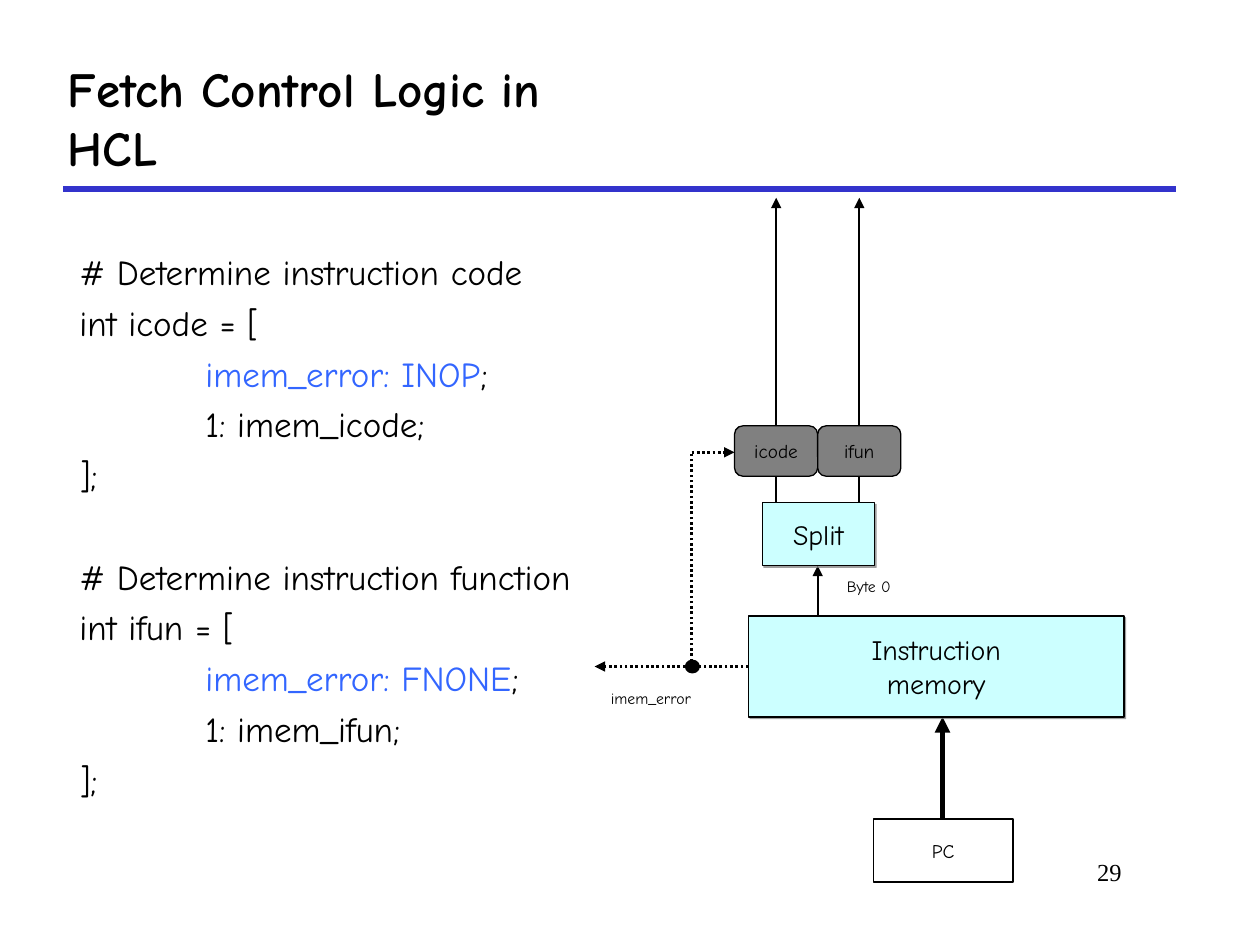
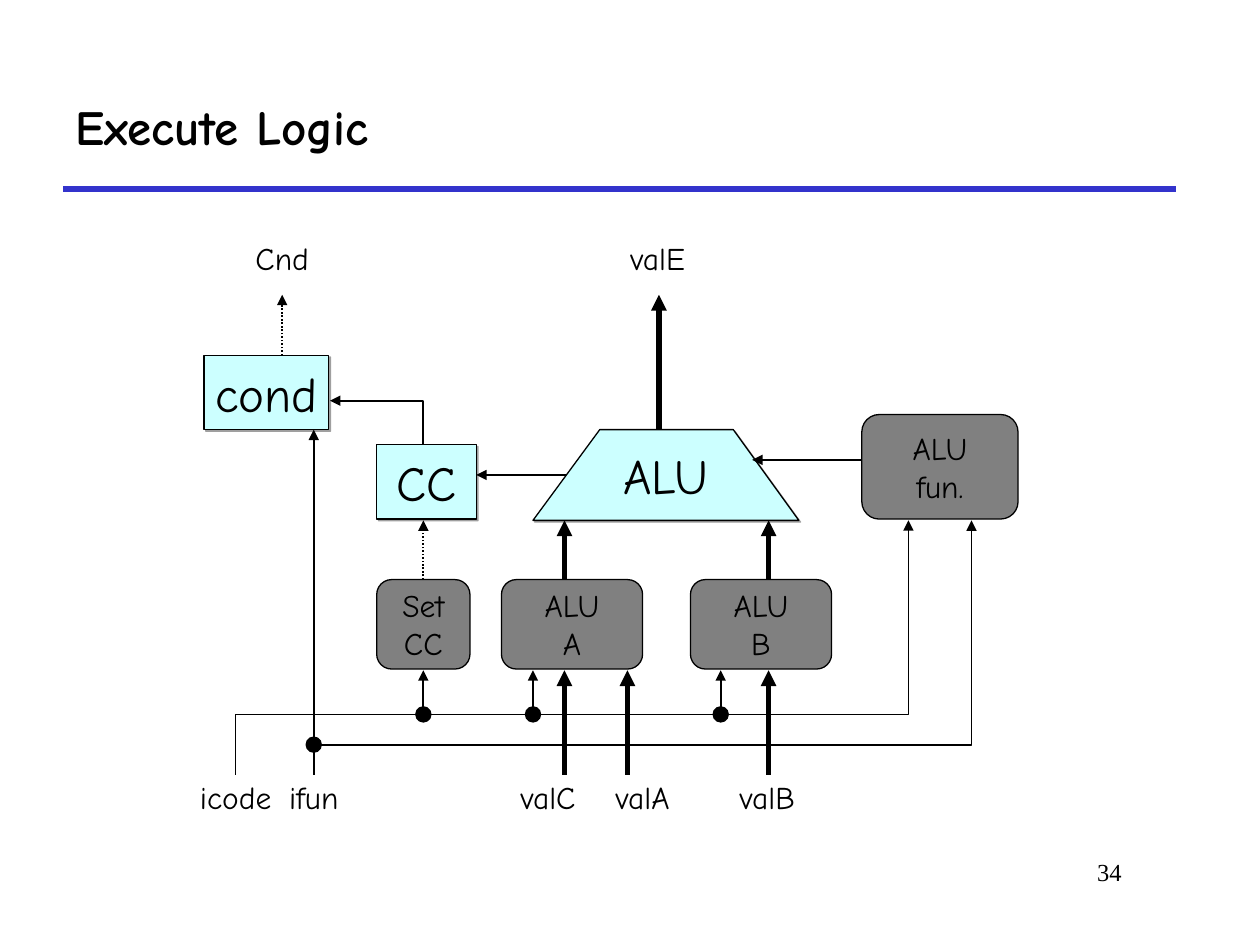
import dataclasses

import lxml.etree
import pptx
import pptx.dml.color
import pptx.enum.dml
import pptx.enum.shapes
import pptx.enum.text
import pptx.oxml.ns
import pptx.util

Inches = pptx.util.Inches
Pt = pptx.util.Pt
RGB = pptx.dml.color.RGBColor.from_string
qn = pptx.oxml.ns.qn
Preset = pptx.enum.shapes.MSO_SHAPE
Align = pptx.enum.text.PP_ALIGN
Anchor = pptx.enum.text.MSO_ANCHOR


@dataclasses.dataclass(frozen=True)
class Theme:
    font: str = "Comic Neue"
    number_font: str = "Times New Roman"
    ink: str = "000000"
    rule: str = "3333CC"
    highlight: str = "3366FF"
    unit: str = "CCFFFF"
    control: str = "808080"
    register: str = "FFFFFF"
    shadow: str = "808080"
    title_size: int = 28
    code_size: int = 20
    large_size: int = 28
    label_size: int = 18
    unit_size: int = 16
    number_size: int = 14
    small_size: int = 11
    tiny_size: int = 9
    hair: float = 0.75
    thin: float = 1
    dotted: float = 1.5
    thick: float = 3


theme = Theme()


def finish_shape(shape, text="", size=theme.label_size, fill=None):
    """Style a block; no fill makes it a bare label, the unit colour adds a shadow."""
    shape.shadow.inherit = False
    if fill is None:
        shape.fill.background()
        shape.line.fill.background()
    else:
        shape.fill.solid()
        shape.fill.fore_color.rgb = RGB(fill)
        shape.line.color.rgb = RGB(theme.ink)
        shape.line.width = Pt(theme.hair)
    if fill == theme.unit:
        effects = shape.element.spPr.find(qn("a:effectLst"))
        shadow = lxml.etree.SubElement(effects, qn("a:outerShdw"), blurRad="0",
                                       dist=str(Pt(1.4)), dir="2700000", algn="ctr", rotWithShape="0")
        color = lxml.etree.SubElement(shadow, qn("a:srgbClr"), val=theme.shadow)
        lxml.etree.SubElement(color, qn("a:alpha"), val="75000")
    frame = shape.text_frame
    frame.word_wrap = False
    frame.vertical_anchor = Anchor.MIDDLE
    frame.margin_left = frame.margin_right = frame.margin_top = frame.margin_bottom = 0
    for index, line in enumerate(text.split("\n") if text else []):
        paragraph = frame.add_paragraph() if index else frame.paragraphs[0]
        paragraph.alignment = Align.CENTER
        run = paragraph.add_run()
        run.text = line
        run.font.name = theme.font
        run.font.size = Pt(size)
        run.font.color.rgb = RGB(theme.ink)


def add_wire(slide, points, width=theme.thin, arrow=True, dotted=False, color=theme.ink):
    """Draw a straight connector for two points, an open bent outline for more."""
    corners = [(Inches(x), Inches(y)) for x, y in points]
    if len(corners) == 2:
        wire = slide.shapes.add_connector(pptx.enum.shapes.MSO_CONNECTOR.STRAIGHT, *corners[0], *corners[1])
    else:
        builder = slide.shapes.build_freeform(*corners[0])
        builder.add_line_segments(corners[1:], close=False)
        wire = builder.convert_to_shape()
        wire.fill.background()
    wire.line.color.rgb = RGB(color)
    wire.line.width = Pt(width)
    if dotted:
        wire.line.dash_style = pptx.enum.dml.MSO_LINE.ROUND_DOT
    properties = wire.element.spPr
    if arrow:
        lxml.etree.SubElement(properties.find(qn("a:ln")), qn("a:tailEnd"), type="triangle")
    lxml.etree.SubElement(properties, qn("a:effectLst"))


presentation = pptx.Presentation()
presentation.slide_width = Inches(10)
presentation.slide_height = Inches(7.5)

# Shared frame: title, rule and slide number
slides = []
for title, title_box, number in [
    ("Fetch Control Logic in HCL", (0.44, 0.27, 4.56, 1.32), "29"),
    ("Execute Logic", (0.5, 0.5, 8.83, 1), "34"),
]:
    slide = presentation.slides.add_slide(presentation.slide_layouts[6])
    slides.append(slide)
    add_wire(slide, [(0.5, 1.5), (9.33, 1.5)], theme.thick, arrow=False, color=theme.rule)
    for text, box, font, size, bold, alignment, anchor in [
        (title, title_box, theme.font, theme.title_size, True, Align.LEFT, Anchor.MIDDLE),
        (number, (7.58, 6.75, 1.42, 0.5), theme.number_font, theme.number_size, False, Align.RIGHT, Anchor.TOP),
    ]:
        frame = slide.shapes.add_textbox(*map(Inches, box)).text_frame
        frame.word_wrap = True
        frame.vertical_anchor = anchor
        paragraph = frame.paragraphs[0]
        paragraph.alignment = alignment
        run = paragraph.add_run()
        run.text = text
        run.font.name = font
        run.font.size = Pt(size)
        run.font.bold = bold
        run.font.color.rgb = RGB(theme.ink)

fetch_slide, execute_slide = slides

# Fetch: HCL code, each line with its space before and its coloured runs
code_lines = []
for signal, purpose, default, space_before in [
    ("icode", "code", "INOP", 0),
    ("ifun", "function", "FNONE", 34),
]:
    code_lines += [
        (space_before, [(f"# Determine instruction {purpose}", theme.ink)]),
        (5, [(f"int {signal} = [", theme.ink)]),
        (5, [("\t", theme.ink), (f"imem_error: {default}", theme.highlight), (";", theme.ink)]),
        (5, [(f"\t1: imem_{signal};", theme.ink)]),
        (5, [("];", theme.ink)]),
    ]

frame = fetch_slide.shapes.add_textbox(Inches(0.58), Inches(1.94), Inches(8.76), Inches(4.46)).text_frame
frame.word_wrap = True
frame.margin_left = frame.margin_right = frame.margin_top = frame.margin_bottom = Inches(0.05)
for index, (space_before, runs) in enumerate(code_lines):
    paragraph = frame.add_paragraph() if index else frame.paragraphs[0]
    tabs = lxml.etree.SubElement(paragraph._p.get_or_add_pPr(), qn("a:tabLst"))
    lxml.etree.SubElement(tabs, qn("a:tab"), pos=str(Inches(1)), algn="l")
    paragraph.space_before = Pt(space_before)
    for text, color in runs:
        run = paragraph.add_run()
        run.text = text
        run.font.name = theme.font
        run.font.size = Pt(theme.code_size)
        run.font.color.rgb = RGB(color)

# Fetch: wires, then blocks
for points, width, arrow, dotted in [
    ([(7.48, 6.5), (7.48, 5.69)], theme.thick, True, False),
    ([(6.16, 3.99), (6.16, 1.57)], theme.thin, True, False),
    ([(6.82, 3.99), (6.82, 1.57)], theme.thin, True, False),
    ([(6.49, 4.89), (6.49, 4.49)], theme.thin, True, False),
    ([(5.94, 5.29), (4.72, 5.29)], theme.dotted, True, True),
    ([(5.49, 5.29), (5.49, 3.59)], theme.dotted, False, True),
    ([(5.49, 3.59), (5.83, 3.59)], theme.dotted, True, True),
]:
    add_wire(fetch_slide, points, width, arrow, dotted)

for preset, box, text, size, fill in [
    (Preset.RECTANGLE, (5.94, 4.89, 2.98, 0.8), "Instruction\nmemory", theme.unit_size, theme.unit),
    (Preset.RECTANGLE, (6.05, 3.99, 0.89, 0.5), "Split", theme.unit_size, theme.unit),
    (Preset.RECTANGLE, (6.93, 6.5, 1.11, 0.5), "PC", theme.small_size, theme.register),
    (Preset.ROUNDED_RECTANGLE, (5.83, 3.38, 0.66, 0.4), "icode", theme.small_size, theme.control),
    (Preset.ROUNDED_RECTANGLE, (6.49, 3.38, 0.66, 0.4), "ifun", theme.small_size, theme.control),
    (Preset.RECTANGLE, (6.62, 4.53, 0.55, 0.25), "Byte 0", theme.tiny_size, None),
    (Preset.RECTANGLE, (4.5, 5.29, 1.33, 0.5), "imem_error", theme.tiny_size, None),
    (Preset.OVAL, (5.44, 5.24, 0.11, 0.1), "", theme.tiny_size, theme.ink),
]:
    finish_shape(fetch_slide.shapes.add_shape(preset, *map(Inches, box)), text, size, fill)

# Execute: blocks
alu = execute_slide.shapes.build_freeform(Inches(4.23), Inches(4.13))
alu.add_line_segments([(Inches(x), Inches(y)) for x, y in [(4.76, 3.41), (5.82, 3.41), (6.34, 4.13)]])
finish_shape(alu.convert_to_shape(), "ALU", theme.large_size, theme.unit)

for preset, box, text, size, fill in [
    (Preset.RECTANGLE, (1.62, 2.82, 0.99, 0.59), "cond", theme.large_size, theme.unit),
    (Preset.RECTANGLE, (2.99, 3.53, 0.79, 0.59), "CC", theme.large_size, theme.unit),
    (Preset.ROUNDED_RECTANGLE, (2.99, 4.6, 0.74, 0.71), "Set\nCC", theme.label_size, theme.control),
    (Preset.ROUNDED_RECTANGLE, (3.98, 4.6, 1.12, 0.71), "ALU\nA", theme.label_size, theme.control),
    (Preset.ROUNDED_RECTANGLE, (5.48, 4.6, 1.12, 0.71), "ALU\nB", theme.label_size, theme.control),
    (Preset.ROUNDED_RECTANGLE, (6.84, 3.29, 1.24, 0.83), "ALU\nfun.", theme.label_size, theme.control),
]:
    finish_shape(execute_slide.shapes.add_shape(preset, *map(Inches, box)), text, size, fill)

# Execute: signal names, outputs above and inputs below
for top, names in [
    (1.75, [("Cnd", 1.87), ("valE", 4.85)]),
    (6.03, [("icode", 1.5), ("ifun", 2.12), ("valC", 3.98), ("valA", 4.73), ("valB", 5.72)]),
]:
    for name, left in names:
        box = map(Inches, (left, top, 0.74, 0.59))
        finish_shape(execute_slide.shapes.add_shape(Preset.RECTANGLE, *box), name)

# Execute: value buses, control wires and condition signals
input_y, block_bottom, block_top, alu_bottom = 6.15, 5.32, 4.6, 4.13
icode_y, ifun_y = 5.67, 5.91

add_wire(execute_slide, [(5.23, 3.41), (5.23, 2.34)], theme.thick)
for x in (4.48, 4.98, 6.1):
    add_wire(execute_slide, [(x, input_y), (x, block_bottom)], theme.thick)
for x in (4.48, 6.1):
    add_wire(execute_slide, [(x, block_top), (x, alu_bottom)], theme.thick)

add_wire(execute_slide, [(4.49, 3.77), (3.78, 3.77)], theme.hair)
add_wire(execute_slide, [(6.84, 3.65), (5.97, 3.65)], theme.hair)
add_wire(execute_slide, [(3.36, 3.53), (3.36, 3.18), (2.62, 3.18)])
add_wire(execute_slide, [(3.36, block_top), (3.36, alu_bottom)], dotted=True)
add_wire(execute_slide, [(2.24, 2.82), (2.24, 2.34)], dotted=True)

add_wire(execute_slide, [(1.87, input_y), (1.87, icode_y)], arrow=False)
add_wire(execute_slide, [(1.87, icode_y), (7.21, icode_y), (7.21, alu_bottom)])
add_wire(execute_slide, [(2.49, input_y), (2.49, 3.41)])
add_wire(execute_slide, [(2.49, ifun_y), (7.71, ifun_y), (7.71, alu_bottom)])

icode_taps = (3.36, 4.23, 5.72)
for x in icode_taps:
    add_wire(execute_slide, [(x, icode_y), (x, block_bottom)])
for x, y in [(2.49, ifun_y)] + [(x, icode_y) for x in icode_taps]:
    box = map(Inches, (x - 0.06, y - 0.06, 0.12, 0.12))
    finish_shape(execute_slide.shapes.add_shape(Preset.OVAL, *box), fill=theme.ink)

presentation.save("out.pptx")
